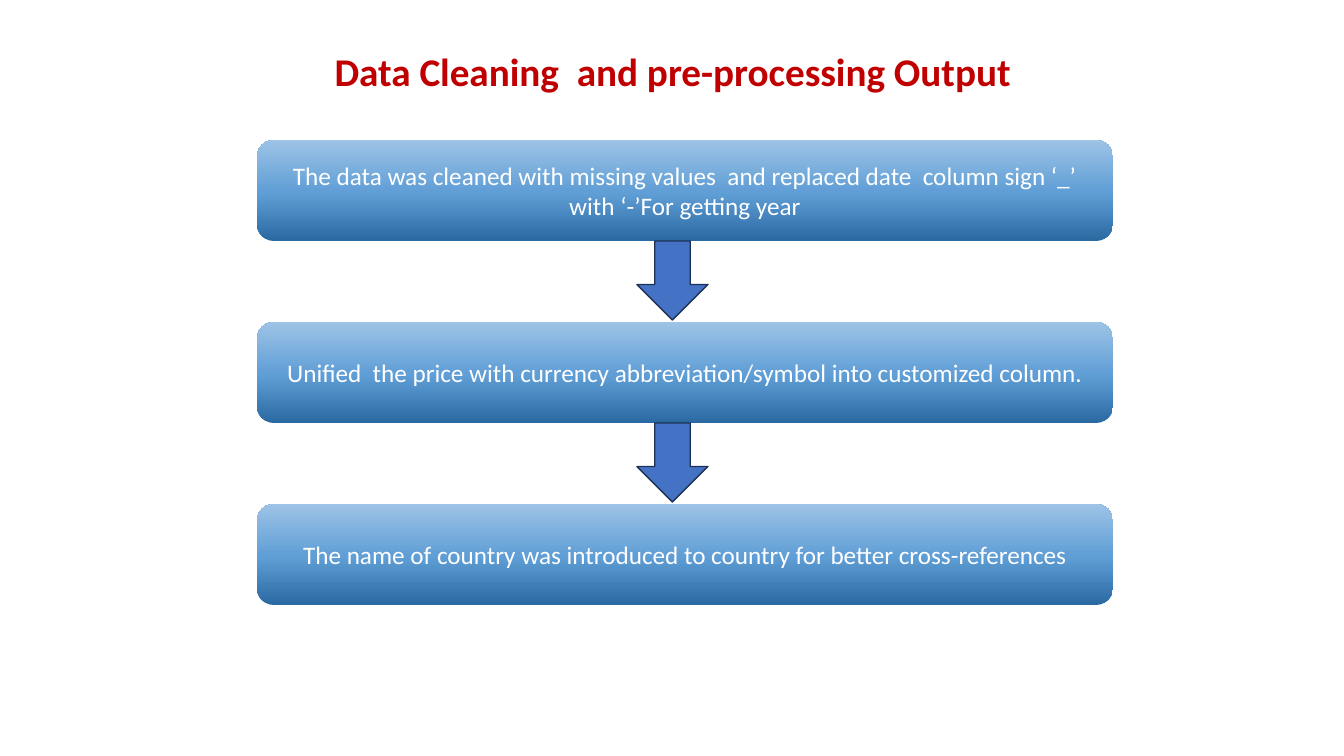
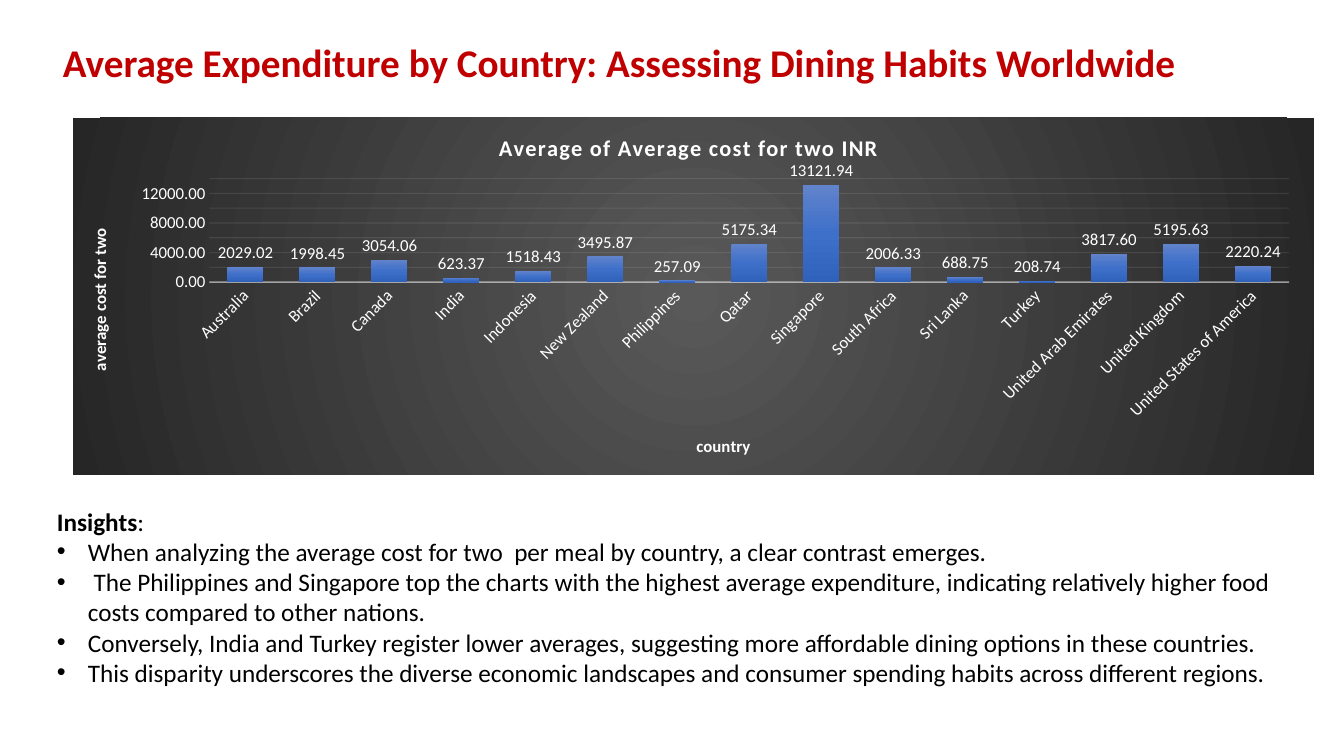
from pptx import Presentation
from pptx.chart.data import CategoryChartData
from pptx.dml.color import RGBColor
from pptx.enum.chart import XL_CHART_TYPE as ChartType, XL_LABEL_POSITION as LabelPos, XL_TICK_MARK as Tick
from pptx.enum.shapes import MSO_SHAPE as Preset
from pptx.enum.text import MSO_ANCHOR as Anchor, MSO_AUTO_SIZE as AutoSize, PP_ALIGN as Align
from pptx.oxml import parse_xml
from pptx.oxml.ns import nsdecls, qn
from pptx.util import Emu, Pt

rgb = RGBColor.from_string
RED, WHITE, BLACK, PALE = "C00000", "FFFFFF", "000000", "F2F2F2"
TITLE = dict(name="Calibri", size=Pt(28), bold=True, color=RED)
BOX_TEXT = dict(name="Calibri", size=Pt(18), bold=False, color=WHITE)
BODY = dict(BOX_TEXT, color=BLACK)
CHART_TEXT = dict(name="Calibri", size=Pt(12), bold=False, color=WHITE)
AXIS_TITLE = dict(CHART_TEXT, bold=True)
CHART_TITLE = dict(AXIS_TITLE, size=Pt(16))


def px(*lengths):
    return [Emu(round(length * 914400 / 100.8)) for length in lengths]


def style(font, values):
    for name, value in values.items():
        if name == "color":
            font.color.rgb = rgb(value)
        else:
            setattr(font, name, value)


prs = Presentation()
prs.slide_width, prs.slide_height = px(1344, 756)
blank = prs.slide_layouts[6]

# Both slides with their titles
titles = [
    ("Data Cleaning  and pre-processing Output", (305, 42, 735, 57), Align.CENTER),
    ("Average Expenditure by Country: Assessing Dining Habits Worldwide", (53, 33, 1179, 57), Align.LEFT),
]
slides = []
for text, place, align in titles:
    slide = prs.slides.add_slide(blank)
    heading = slide.shapes.add_textbox(*px(*place)).text_frame
    heading.word_wrap = True
    heading.auto_size = AutoSize.SHAPE_TO_FIT_TEXT
    heading.text = text
    heading.paragraphs[0].alignment = align
    style(heading.paragraphs[0].runs[0].font, TITLE)
    slides.append(slide)
cleaning, spending = slides

# Cleaning steps, each joined to the next by an arrow
steps = [
    "The data was cleaned with missing values  and replaced date  column sign ‘_’ with ‘-’For getting year",
    "Unified  the price with currency abbreviation/symbol into customized column.",
    "The name of country was introduced to country for better cross-references",
]
STEP_TOP, STEP_PITCH, STEP_HEIGHT = 140, 182, 101
UPWARD = '<a:lin ang="16200000" scaled="0"/>'
DOWNWARD = '<a:lin ang="5400000" scaled="0"/>'
FROM_CENTRE = '<a:path path="circle"><a:fillToRect l="50000" t="50000" r="50000" b="50000"/></a:path>'
gradients = []  # (properties element, stops, direction)
for i, text in enumerate(steps):
    top = STEP_TOP + i * STEP_PITCH
    step = cleaning.shapes.add_shape(Preset.ROUNDED_RECTANGLE, *px(257, top, 856, STEP_HEIGHT))
    step.shadow.inherit = False
    step.fill.solid()
    step.line.fill.background()
    gradients.append((step.element.spPr, [(0, "2A69A2"), (48, "609ED6"), (100, "9DC3E6")], UPWARD))
    frame = step.text_frame
    frame.word_wrap = True
    frame.vertical_anchor = Anchor.MIDDLE
    frame.text = text
    frame.paragraphs[0].alignment = Align.CENTER
    style(frame.paragraphs[0].runs[0].font, BOX_TEXT)

for i in range(len(steps) - 1):
    top = STEP_TOP + i * STEP_PITCH + STEP_HEIGHT
    arrow = cleaning.shapes.add_shape(Preset.DOWN_ARROW, *px(637, top, 71, 79))
    arrow.shadow.inherit = False
    arrow.fill.solid()
    arrow.fill.fore_color.rgb = rgb("4472C4")
    arrow.line.color.rgb = rgb("1E3256")
    arrow.line.width = Pt(1)

# Average cost chart
costs = {
    "Australia": 2029.02, "Brazil": 1998.45, "Canada": 3054.06, "India": 623.37,
    "Indonesia": 1518.43, "New Zealand": 3495.87, "Philippines": 257.09, "Qatar": 5175.34,
    "Singapore": 13121.94, "South Africa": 2006.33, "Sri Lanka": 688.75, "Turkey": 208.74,
    "United Arab Emirates": 3817.6, "United Kingdom": 5195.63, "United States of America": 2220.24,
}
data = CategoryChartData(number_format="0.00")
data.categories = list(costs)
data.add_series("Series 1", list(costs.values()))
chart = spending.shapes.add_chart(ChartType.COLUMN_CLUSTERED, *px(73, 118, 1241, 357), data).chart
style(chart.font, CHART_TEXT)
chart.has_legend = False
chart.has_title = True
countries, cost_axis = chart.category_axis, chart.value_axis
countries.has_title = cost_axis.has_title = True

for title, text, values in [
    (chart.chart_title, "Average of Average cost for two INR", CHART_TITLE),
    (countries.axis_title, "country", AXIS_TITLE),
    (cost_axis.axis_title, "average cost for two", AXIS_TITLE),
]:
    title.text_frame.text = text
    style(title.text_frame.paragraphs[0].runs[0].font, values)

for axis in (countries, cost_axis):
    axis.major_tick_mark = axis.minor_tick_mark = Tick.NONE
    style(axis.tick_labels.font, CHART_TEXT)
cost_axis.minimum_scale, cost_axis.maximum_scale, cost_axis.major_unit = 0, 14000, 2000
cost_axis.tick_labels.number_format = "0.00"
cost_axis.tick_labels.number_format_is_linked = False
cost_axis.format.line.fill.background()
cost_axis.has_major_gridlines = True
for line, width in [(countries.format.line, 1), (cost_axis.major_gridlines.format.line, 0.75)]:
    line.color.rgb = rgb(PALE)
    line.width = Pt(width)

columns = chart.plots[0]
columns.gap_width, columns.overlap, columns.vary_by_categories = 100, -24, False
columns.has_data_labels = True
labels = columns.data_labels
for name, value in dict(show_value=True, position=LabelPos.OUTSIDE_END, number_format="0.00",
                        number_format_is_linked=False).items():
    setattr(labels, name, value)
style(labels.font, CHART_TEXT)
cost_series = columns.series[0]
cost_series.invert_if_negative = False
cost_series.format.fill.solid()

# Chart details: line opacity, text rotation, letter spacing
xpath = chart.element.xpath
for target, opacity in [("c:catAx/c:spPr", 54), ("c:majorGridlines", 10)]:
    for color in xpath(f".//{target}//a:srgbClr"):
        color.append(parse_xml(f'<a:alpha {nsdecls("a")} val="{opacity * 1000}"/>'))
for target, attribute, value in [
    ("c:catAx/c:txPr/a:bodyPr", "rot", "-2700000"),
    ("c:valAx/c:title//a:bodyPr", "rot", "-5400000"),
    ("c:valAx/c:title//a:bodyPr", "vert", "horz"),
    ("c:chart/c:title//a:rPr", "spc", "100"),
]:
    for element in xpath(f".//{target}"):
        element.set(attribute, value)

# Chart layout, as fractions of the chart area
for target, fractions in [
    ("c:plotArea", dict(x=0.11, y=0.17, w=0.87, h=0.29)),
    ("c:chart/c:title", dict(x=0.34, y=0.03)),
    ("c:catAx/c:title", dict(x=0.5, y=0.88)),
    ("c:valAx/c:title", dict(x=0.01, y=0.3)),
]:
    part = xpath(f".//{target}")[0]
    for old in part.findall(qn("c:layout")):
        part.remove(old)
    is_plot = "w" in fractions
    settings = '<c:layoutTarget val="inner"/>' if is_plot else ""
    settings += '<c:xMode val="edge"/><c:yMode val="edge"/>'
    settings += "".join(f'<c:{key} val="{value}"/>' for key, value in fractions.items())
    layout = parse_xml(f'<c:layout {nsdecls("c")}><c:manualLayout>{settings}</c:manualLayout></c:layout>')
    part.insert(0 if is_plot else 1, layout)

# Gradients take the place of the solid fills
backdrop = parse_xml(f'<c:spPr {nsdecls("c", "a")}><a:solidFill/><a:ln><a:noFill/></a:ln></c:spPr>')
xpath("c:chart")[0].addnext(backdrop)
gradients += [
    (backdrop, [(0, "595959"), (100, "262626")], FROM_CENTRE),
    (xpath(".//c:ser/c:spPr")[0], [(0, "6183CB"), (50, "3E70CA"), (100, "3062BB")], DOWNWARD),
]
for properties, stops, direction in gradients:
    stop_list = "".join(f'<a:gs pos="{at * 1000}"><a:srgbClr val="{color}"/></a:gs>' for at, color in stops)
    gradient = parse_xml(f'<a:gradFill {nsdecls("a")} rotWithShape="1"><a:gsLst>{stop_list}</a:gsLst>'
                         f'{direction}</a:gradFill>')
    properties.replace(properties.find(qn("a:solidFill")), gradient)

# Insights
insights = [
    "When analyzing the average cost for two  per meal by country, a clear contrast emerges.",
    " The Philippines and Singapore top the charts with the highest average expenditure, "
    "indicating relatively higher food costs compared to other nations.",
    "Conversely, India and Turkey register lower averages, suggesting more affordable dining options "
    "in these countries.",
    "This disparity underscores the diverse economic landscapes and consumer spending habits "
    "across different regions.",
]
notes = spending.shapes.add_textbox(*px(47, 501, 1267, 194)).text_frame
notes.word_wrap = True
notes.auto_size = AutoSize.SHAPE_TO_FIT_TEXT
for text, bold in [("Insights", True), (":", False)]:
    run = notes.paragraphs[0].add_run()
    run.text = text
    style(run.font, dict(BODY, bold=bold))
indent = px(31)[0]
for text in insights:
    point = notes.add_paragraph()
    run = point.add_run()
    run.text = text
    style(run.font, BODY)
    bullet = point._p.get_or_add_pPr()
    bullet.set("marL", str(indent))
    bullet.set("indent", str(-indent))
    bullet.append(parse_xml(f'<a:buFont {nsdecls("a")} typeface="Arial"/>'))
    bullet.append(parse_xml(f'<a:buChar {nsdecls("a")} char="•"/>'))

prs.save("out.pptx")
